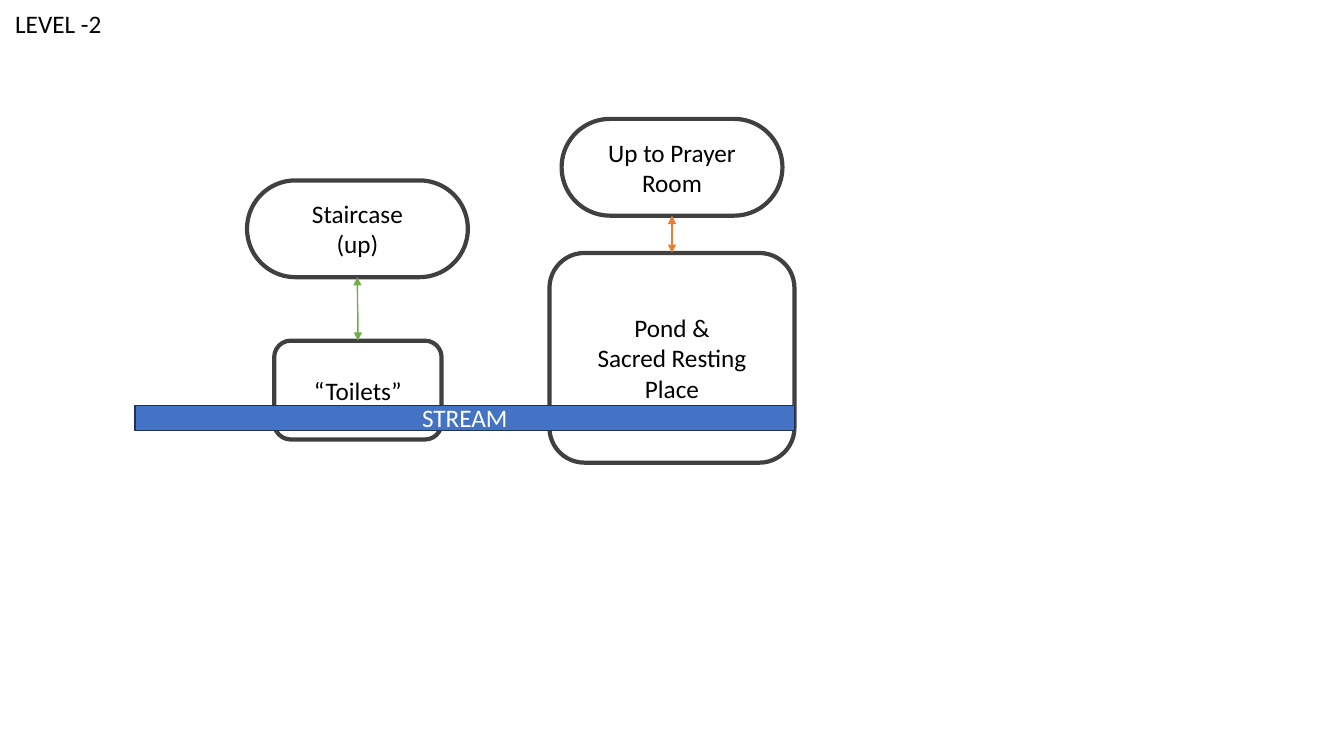
from dataclasses import dataclass

from lxml import etree
from pptx import Presentation
from pptx.dml.color import RGBColor
from pptx.enum.shapes import MSO_CONNECTOR, MSO_SHAPE
from pptx.enum.text import MSO_ANCHOR, MSO_AUTO_SIZE, PP_ALIGN
from pptx.oxml.ns import qn
from pptx.shapes.autoshape import Shape
from pptx.slide import Slide
from pptx.text.text import TextFrame
from pptx.util import Inches, Pt

ROUNDED = MSO_SHAPE.ROUNDED_RECTANGLE
RECTANGLE = MSO_SHAPE.RECTANGLE
CURVE = MSO_CONNECTOR.CURVE
TOP, MIDDLE = MSO_ANCHOR.TOP, MSO_ANCHOR.MIDDLE
LEFT, CENTER = PP_ALIGN.LEFT, PP_ALIGN.CENTER
FIT_SHAPE = MSO_AUTO_SIZE.SHAPE_TO_FIT_TEXT

BLACK = RGBColor(0x00, 0x00, 0x00)
WHITE = RGBColor(0xFF, 0xFF, 0xFF)
DARK_GREY = RGBColor(0x40, 0x40, 0x40)
BLUE = RGBColor(0x44, 0x72, 0xC4)
NAVY = RGBColor(0x1E, 0x32, 0x56)
GREEN = RGBColor(0x70, 0xAD, 0x47)
ORANGE = RGBColor(0xED, 0x7D, 0x31)

TOP_SITE, BOTTOM_SITE = 0, 2
QUARTER_TURN_LEFT = 270 * 60000


@dataclass(frozen=True)
class Place:
    text: str
    left: float
    top: float
    width: float
    height: float
    kind: MSO_SHAPE = ROUNDED
    corner: float | None = None
    fill: RGBColor | None = None
    line: RGBColor = DARK_GREY
    line_width: float = 3
    color: RGBColor = BLACK


@dataclass(frozen=True)
class Passage:
    lower: str
    upper: str
    color: RGBColor


PLACES = {
    "pond": Place("Pond &\nSacred Resting Place", 5.45, 2.51, 2.43, 2.08),
    "toilets": Place("“Toilets”", 2.72, 3.38, 1.66, 0.98),
    "stream": Place("STREAM", 1.34, 4.02, 6.54, 0.25, RECTANGLE,
                    fill=BLUE, line=NAVY, line_width=1, color=WHITE),
    "staircase": Place("Staircase\v(up)", 2.45, 1.79, 2.19, 0.96, corner=0.5),
    "prayer room": Place("Up to Prayer Room", 5.57, 1.18, 2.19, 0.96, corner=0.5),
}
PASSAGES = (
    Passage("toilets", "staircase", GREEN),
    Passage("pond", "prayer room", ORANGE),
)


def write_text(frame: TextFrame, text: str, color: RGBColor, align: PP_ALIGN) -> None:
    frame.text = text
    for para in frame.paragraphs:
        para.alignment = align
        for span in para.runs:
            for name, value in {"name": "Calibri", "size": Pt(18)}.items():
                setattr(span.font, name, value)
            span.font.color.rgb = color


def add_heading(page: Slide, text: str) -> None:
    title = page.shapes.title
    position = {"left": 0.05, "top": 0.03, "width": 1.07, "height": 0.4}
    for name, value in position.items():
        setattr(title, name, Inches(value))
    frame_format = {"word_wrap": False, "auto_size": FIT_SHAPE, "vertical_anchor": TOP}
    for name, value in frame_format.items():
        setattr(title.text_frame, name, value)
    write_text(title.text_frame, text, BLACK, LEFT)


def add_place(page: Slide, place: Place) -> Shape:
    box = page.shapes.add_shape(
        place.kind, Inches(place.left), Inches(place.top),
        Inches(place.width), Inches(place.height))
    box.shadow.inherit = False
    if place.corner is not None:
        box.adjustments[0] = place.corner
    if place.fill is None:
        box.fill.background()
    else:
        box.fill.solid()
        box.fill.fore_color.rgb = place.fill
    box.line.color.rgb = place.line
    box.line.width = Pt(place.line_width)
    box.text_frame.word_wrap = True
    box.text_frame.vertical_anchor = MIDDLE
    write_text(box.text_frame, place.text, place.color, CENTER)
    return box


def add_passage(page: Slide, lower: Shape, upper: Shape, color: RGBColor) -> None:
    """Join the top of one box to the bottom of another with a two-headed curve."""
    arrow = page.shapes.add_connector(CURVE, 0, 0, 0, 0)
    arrow.begin_connect(lower, TOP_SITE)
    arrow.end_connect(upper, BOTTOM_SITE)

    # The curve leaves vertically only when its frame is laid flat and turned.
    middle_x = (arrow.begin_x + arrow.end_x) // 2
    middle_y = (arrow.begin_y + arrow.end_y) // 2
    half_rise = (arrow.begin_y - arrow.end_y) // 2
    half_shift = (arrow.end_x - arrow.begin_x) // 2
    flat_ends = {
        "begin_x": middle_x - half_rise, "end_x": middle_x + half_rise,
        "begin_y": middle_y - half_shift, "end_y": middle_y + half_shift,
    }
    for name, value in flat_ends.items():
        setattr(arrow, name, value)
    properties = arrow._element.spPr
    properties.find(qn("a:xfrm")).set("rot", str(QUARTER_TURN_LEFT))

    arrow.line.color.rgb = color
    arrow.line.width = Pt(1)
    line = properties.find(qn("a:ln"))
    for end in ("a:headEnd", "a:tailEnd"):
        etree.SubElement(line, qn(end), type="triangle")
    etree.SubElement(properties, qn("a:effectLst"))


def main() -> None:
    deck = Presentation()
    deck.slide_width, deck.slide_height = Inches(13.33), Inches(7.5)
    page = deck.slides.add_slide(deck.slide_layouts.get_by_name("Title Only"))
    add_heading(page, "LEVEL -2")
    boxes = {name: add_place(page, place) for name, place in PLACES.items()}
    for passage in PASSAGES:
        add_passage(page, boxes[passage.lower], boxes[passage.upper], passage.color)
    deck.save("out.pptx")


if __name__ == "__main__":
    main()
